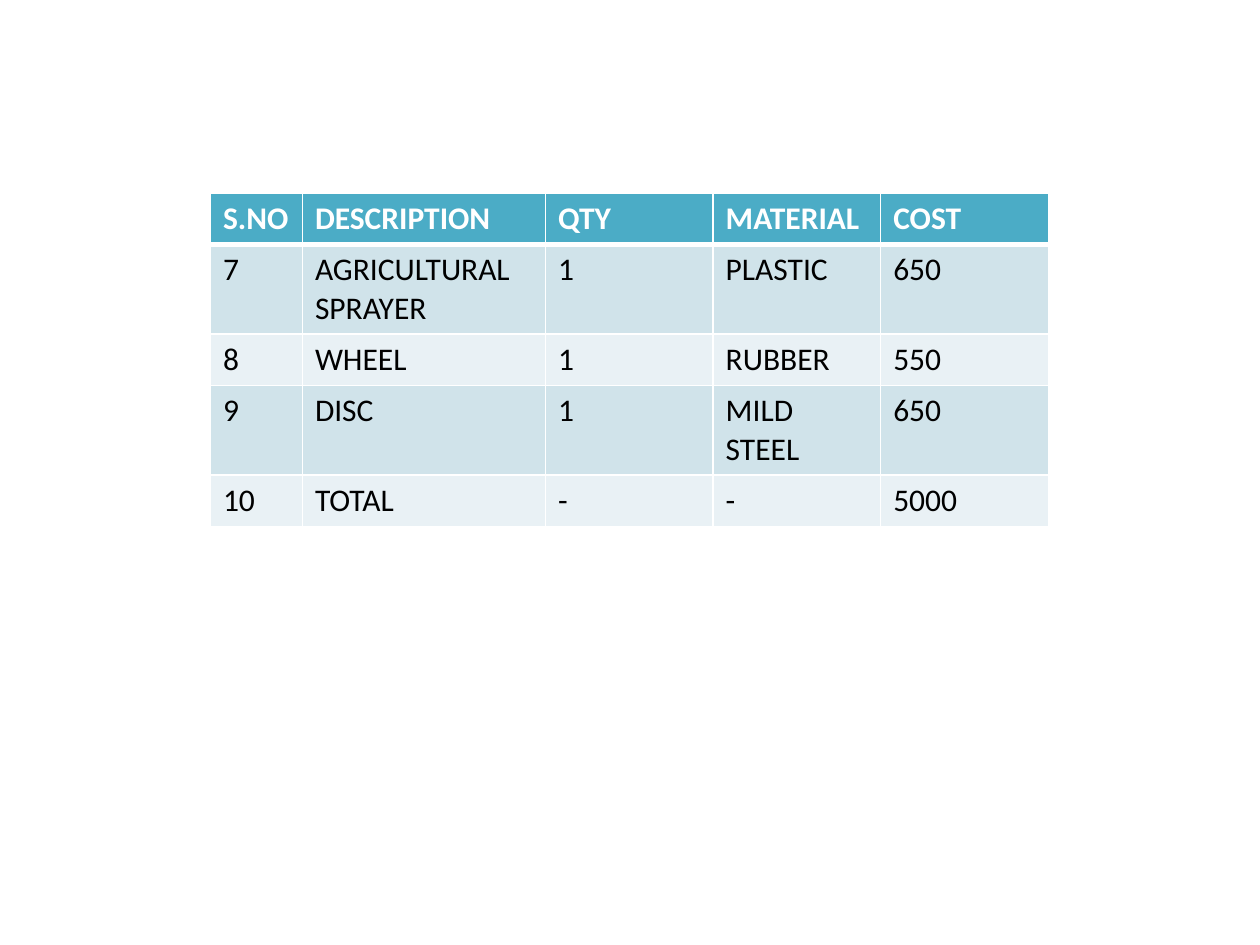
import pptx
import pptx.dml.color
import pptx.oxml.ns
import pptx.util
from lxml import etree

Inches = pptx.util.Inches
Pt = pptx.util.Pt
RGBColor = pptx.dml.color.RGBColor
qn = pptx.oxml.ns.qn

WHITE = RGBColor(0xFF, 0xFF, 0xFF)
BLACK = RGBColor(0x00, 0x00, 0x00)
HEADER_TEAL = RGBColor(0x4B, 0xAC, 0xC6)
BAND_DARK = RGBColor(0xD0, 0xE3, 0xEA)
BAND_LIGHT = RGBColor(0xE9, 0xF1, 0xF5)

COLUMN_WIDTHS = [0.73, 1.93, 1.33, 1.33, 1.33]
ROW_HEIGHT = 0.41
COST_ROWS = [
    ["S.NO", "DESCRIPTION", "QTY", "MATERIAL", "COST"],
    ["7", "AGRICULTURAL SPRAYER", "1", "PLASTIC", "650"],
    ["8", "WHEEL", "1", "RUBBER", "550"],
    ["9", "DISC", "1", "MILD STEEL", "650"],
    ["10", "TOTAL", "-", "-", "5000"],
]


def write_text(text_frame, text, size=18, color=BLACK, bold=False, font="Calibri"):
    paragraph = text_frame.paragraphs[0]
    run = paragraph.add_run()
    run.text = text
    run.font.name = font
    run.font.size = Pt(size)
    run.font.bold = bold
    run.font.color.rgb = color


def set_borders(cell, top=1, bottom=1, color=WHITE):
    properties = cell._tc.get_or_add_tcPr()
    for side, width in (("L", 1), ("R", 1), ("T", top), ("B", bottom)):
        line = etree.SubElement(properties, qn(f"a:ln{side}"), w=str(Pt(width)))
        fill = etree.SubElement(line, qn("a:solidFill"))
        etree.SubElement(fill, qn("a:srgbClr"), val=str(color))


def format_cell(cell, text, row_index):
    is_header = row_index == 0
    set_borders(cell, top=3 if row_index == 1 else 1, bottom=3 if is_header else 1)
    cell.fill.solid()
    if is_header:
        cell.fill.fore_color.rgb = HEADER_TEAL
    else:
        cell.fill.fore_color.rgb = BAND_DARK if row_index % 2 else BAND_LIGHT
    write_text(cell.text_frame, text, color=WHITE if is_header else BLACK, bold=is_header)


def add_cost_table(slide, left, top):
    table = slide.shapes.add_table(
        len(COST_ROWS), len(COLUMN_WIDTHS), Inches(left), Inches(top),
        Inches(sum(COLUMN_WIDTHS)), Inches(ROW_HEIGHT * len(COST_ROWS)),
    ).table
    for column, width in zip(table.columns, COLUMN_WIDTHS):
        column.width = Inches(width)
    for row_index, (row, texts) in enumerate(zip(table.rows, COST_ROWS)):
        row.height = Inches(ROW_HEIGHT)
        for cell, text in zip(row.cells, texts):
            format_cell(cell, text, row_index)


def main():
    presentation = pptx.Presentation()
    presentation.slide_width = Inches(10)
    presentation.slide_height = Inches(7.5)
    slide = presentation.slides.add_slide(presentation.slide_layouts[6])
    add_cost_table(slide, left=1.67, top=1.53)
    presentation.save("out.pptx")


if __name__ == "__main__":
    main()
